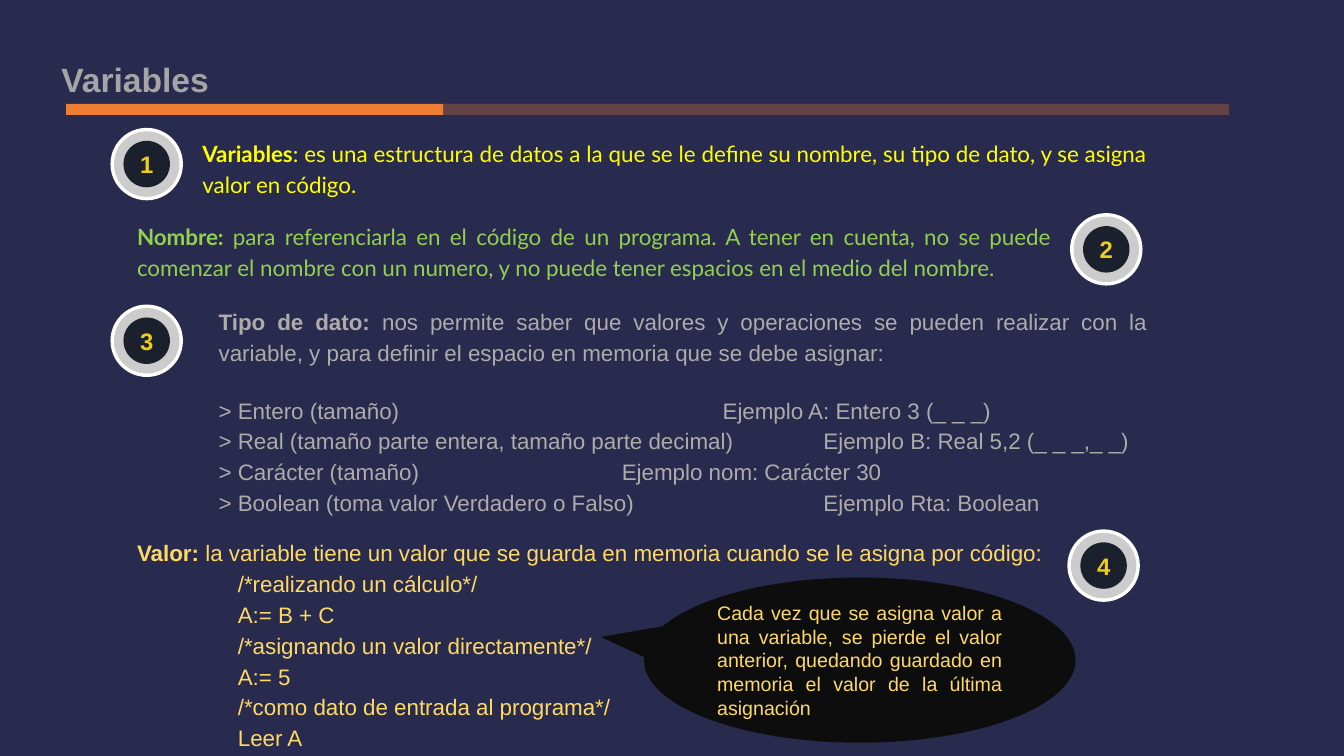
from dataclasses import dataclass

from lxml import etree
from pptx import Presentation
from pptx.dml.color import RGBColor
from pptx.enum.shapes import MSO_SHAPE
from pptx.enum.text import MSO_ANCHOR, MSO_AUTO_SIZE, PP_ALIGN
from pptx.oxml.ns import qn
from pptx.util import Pt

RECTANGLE, OVAL = MSO_SHAPE.RECTANGLE, MSO_SHAPE.OVAL
CALLOUT = MSO_SHAPE.OVAL_CALLOUT
LEFT, CENTER, JUSTIFY = PP_ALIGN.LEFT, PP_ALIGN.CENTER, PP_ALIGN.JUSTIFY
MIDDLE = MSO_ANCHOR.MIDDLE
FIT_TEXT = MSO_AUTO_SIZE.SHAPE_TO_FIT_TEXT

COLORS = {
    "background": "282A4E", "title": "A5A5A5", "bar": "ED7D31",
    "ring": "FFFFFF", "band": "CCCCCC", "core": "1B212C", "number": "EECE1A",
    "definition": "FFFF00", "name": "92D050", "type": "AFABAB",
    "value": "FFD966", "callout": "0D0D0D",
}
INSET = 7.2
INDENTED_INSET = 18.7
BAR_TOP, BAR_HEIGHT = 74.2, 7.9
CODE_INDENT = 72


@dataclass(frozen=True)
class Line:
    text: str
    lead: str = ""
    tab: float = 0
    indent: float = 0
    space_before: float = 0


@dataclass(frozen=True)
class Section:
    left: float
    top: float
    width: float
    height: float
    inset: float
    font: str
    color: str
    lines: tuple[Line, ...]


@dataclass(frozen=True)
class Badge:
    number: str
    center_x: float
    center_y: float


CODE_LINES = (
    "/*realizando un cálculo*/", "A:= B + C",
    "/*asignando un valor directamente*/", "A:= 5",
    "/*como dato de entrada al programa*/", "Leer A",
)
SECTIONS = (
    Section(137.5, 90, 689, 29.5, INSET, "Lato", "definition", (
        Line(": es una estructura de datos a la que se le define su nombre, su tipo "
             "de dato, y se asigna valor en código.", "Variables"),
    )),
    Section(79.2, 149.2, 679, 61.2, INDENTED_INSET, "Lato", "name", (
        Line("para referenciarla en el código de un programa. A tener en cuenta, no se "
             "puede comenzar el nombre con un numero, y no puede tener espacios en el "
             "medio del nombre.", "Nombre: "),
    )),
    Section(137.5, 210.2, 689, 61.2, INDENTED_INSET, "Arial", "type", (
        Line("nos permite saber que valores y operaciones se pueden realizar con la "
             "variable, y para definir el espacio en memoria que se debe asignar:",
             "Tipo de dato: "),
        Line("> Entero (tamaño)\tEjemplo A: Entero 3 (_ _ _)", tab=360, space_before=19),
        Line("> Real (tamaño parte entera, tamaño parte decimal)"
             "\tEjemplo B: Real 5,2 (_ _ _,_ _)", tab=432),
        Line("> Carácter (tamaño)\tEjemplo nom: Carácter 30", tab=288),
        Line("> Boolean (toma valor Verdadero o Falso)\tEjemplo Rta: Boolean", tab=432),
    )),
    Section(79.2, 375.1, 679, 61.2, INDENTED_INSET, "Arial", "value", (
        Line("la variable tiene un valor que se guarda en memoria cuando se le asigna "
             "por código:", "Valor: "),
        *(Line(code, indent=CODE_INDENT) for code in CODE_LINES),
    )),
)
BADGES = (
    Badge("1", 104.8, 117.2), Badge("2", 790.2, 178.1),
    Badge("3", 104.8, 243.4), Badge("4", 788.3, 404),
)
BADGE_CIRCLES = ((51.8, "ring"), (46.8, "band"), (33.2, "core"))


def rgb(name: str) -> RGBColor:
    return RGBColor.from_string(COLORS[name])


def add_filled(shapes, kind, left: float, top: float, width: float, height: float,
               color: str, opacity: int = 100):
    """Add a borderless shape without shadow; opacity is a percentage."""
    shape = shapes.add_shape(kind, Pt(left), Pt(top), Pt(width), Pt(height))
    shape.shadow.inherit = False
    shape.line.fill.background()
    shape.fill.solid()
    shape.fill.fore_color.rgb = rgb(color)
    if opacity < 100:
        color_element = shape.fill._xPr.find(qn("a:solidFill"))[0]
        etree.SubElement(color_element, qn("a:alpha"), val=str(opacity * 1000))
    return shape


def format_span(span, font: str, size: float, color: str, bold: bool = False) -> None:
    span.font.name = font
    span.font.size = Pt(size)
    span.font.bold = bold
    span.font.color.rgb = rgb(color)


def set_insets(frame, left: float, other: float) -> None:
    frame.margin_left = Pt(left)
    frame.margin_top = frame.margin_right = frame.margin_bottom = Pt(other)


def write_label(frame, text: str, align, font_size: float, color: str, bold: bool) -> None:
    frame.text = text
    frame.word_wrap = True
    para = frame.paragraphs[0]
    para.alignment = align
    format_span(para.runs[0], "Arial", font_size, color, bold)


def write_line(para, line: Line, font: str, color: str) -> None:
    properties = para._p.get_or_add_pPr()
    if line.indent:
        properties.set("marL", str(Pt(line.indent)))
    if line.tab:
        tabs = etree.SubElement(properties, qn("a:tabLst"))
        etree.SubElement(tabs, qn("a:tab"), pos=str(Pt(line.tab)), algn="l")
    para.alignment = JUSTIFY
    para.line_spacing = 1.15
    if line.space_before:
        para.space_before = Pt(line.space_before)
    for text, bold in ((line.lead, True), (line.text, False)):
        if text:
            span = para.add_run()
            span.text = text
            format_span(span, font, 16, color, bold)


def add_section(shapes, section: Section) -> None:
    box = shapes.add_textbox(Pt(section.left), Pt(section.top),
                             Pt(section.width), Pt(section.height))
    frame = box.text_frame
    frame.word_wrap = True
    set_insets(frame, section.inset, INSET)
    for index, line in enumerate(section.lines):
        para = frame.add_paragraph() if index else frame.paragraphs[0]
        write_line(para, line, section.font, section.color)


def add_badge(shapes, badge: Badge) -> None:
    """Draw concentric circles with the number in the innermost one."""
    group = shapes.add_group_shape()
    for size, color in BADGE_CIRCLES:
        circle = add_filled(group.shapes, OVAL, badge.center_x - size / 2,
                            badge.center_y - size / 2, size, size, color)
    frame = circle.text_frame
    set_insets(frame, INSET, INSET)
    frame.vertical_anchor = MIDDLE
    write_label(frame, badge.number, CENTER, 17, "number", True)


def add_header(shapes) -> None:
    title = shapes.add_textbox(Pt(36.7), Pt(38.2), Pt(524.2), Pt(36))
    write_label(title.text_frame, "Variables", LEFT, 24, "title", True)
    title.text_frame.auto_size = FIT_TEXT
    add_filled(shapes, RECTANGLE, 47.2, BAR_TOP, 269.6, BAR_HEIGHT, "bar")
    add_filled(shapes, RECTANGLE, 316.8, BAR_TOP, 561, BAR_HEIGHT, "bar", opacity=30)


def add_callout(shapes) -> None:
    callout = add_filled(shapes, CALLOUT, 460, 412.5, 308.2, 118, "callout")
    callout.adjustments[0], callout.adjustments[1] = -0.6, -0.14
    callout.text_frame.vertical_anchor = MIDDLE
    write_label(callout.text_frame,
                "Cada vez que se asigna valor a una variable, se pierde el valor anterior, "
                "quedando guardado en memoria el valor de la última asignación",
                JUSTIFY, 14, "value", False)


def main() -> None:
    deck = Presentation()
    deck.slide_width, deck.slide_height = Pt(960), Pt(540)
    shapes = deck.slides.add_slide(deck.slide_layouts[6]).shapes
    add_filled(shapes, RECTANGLE, 0, 0, 960, 540, "background")
    add_header(shapes)
    for section, badge in zip(SECTIONS, BADGES):
        add_section(shapes, section)
        add_badge(shapes, badge)
    add_callout(shapes)
    deck.save("out.pptx")


if __name__ == "__main__":
    main()
